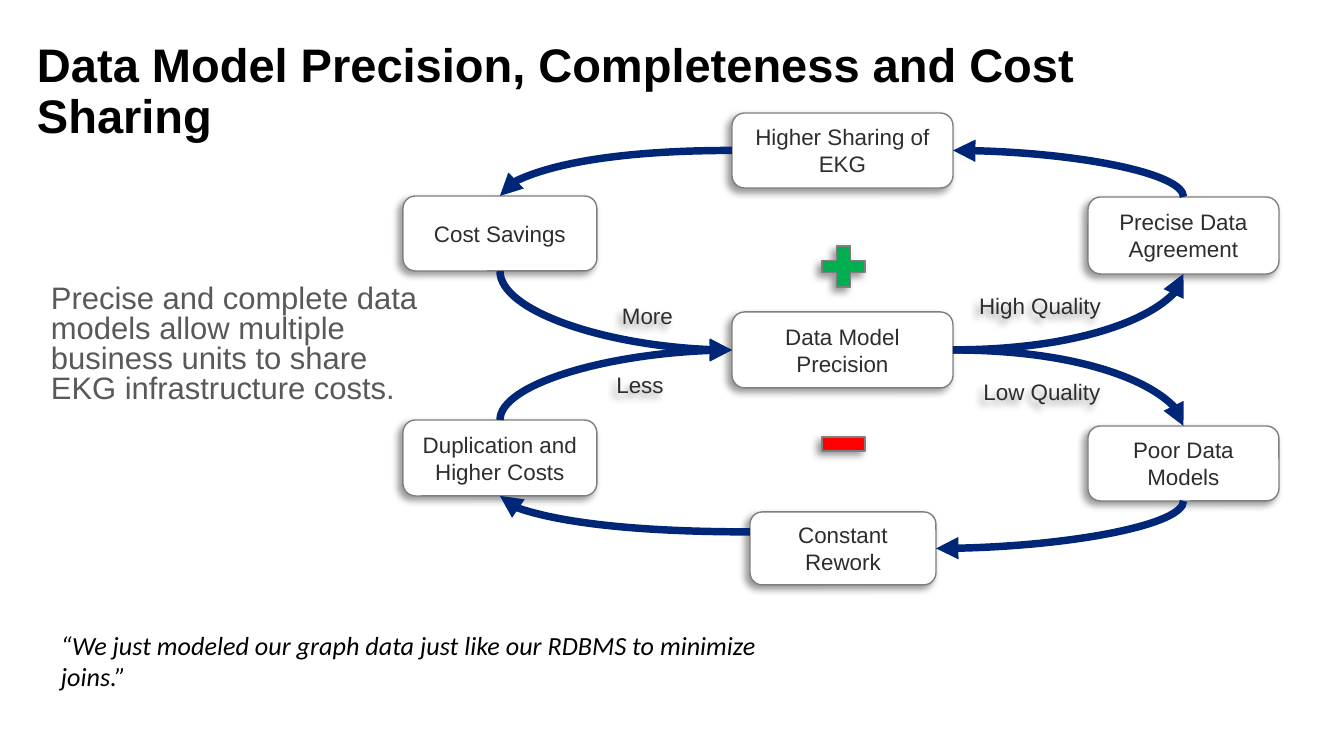
import pptx
import pptx.util
import pptx.dml.color
import pptx.enum.shapes
import pptx.enum.text
import pptx.oxml
import pptx.oxml.ns

RGB = pptx.dml.color.RGBColor
KIND = pptx.enum.shapes.MSO_SHAPE
ALIGN = pptx.enum.text.PP_ALIGN
ANCHOR = pptx.enum.text.MSO_ANCHOR

BLACK = RGB(0x00, 0x00, 0x00)
WHITE = RGB(0xFF, 0xFF, 0xFF)
INK = RGB(0x2D, 0x2D, 0x2D)
GRAY = RGB(0x59, 0x59, 0x59)
EDGE = RGB(0x7F, 0x7F, 0x7F)
NAVY = RGB(0x00, 0x26, 0x77)
GREEN = RGB(0x00, 0xB0, 0x50)
RED = RGB(0xFF, 0x00, 0x00)

SHADE = (
    '<a:effectLst %s><a:outerShdw blurRad="50800" dist="38100" dir="8100000" '
    'algn="tr" rotWithShape="0"><a:srgbClr val="000000"><a:alpha val="40000"/>'
    '</a:srgbClr></a:outerShdw></a:effectLst>' % pptx.oxml.ns.nsdecls("a")
)
PLAIN = "<a:effectLst %s/>" % pptx.oxml.ns.nsdecls("a")
ARROW = '<a:tailEnd %s type="triangle"/>' % pptx.oxml.ns.nsdecls("a")


def emu(px):
    return round(px * 914400 / 134.4)


class Deck:
    font = "Arial"
    size = 12
    pad = (10, 5)

    def __init__(self, wide, high):
        self.file = pptx.Presentation()
        self.file.slide_width = emu(wide)
        self.file.slide_height = emu(high)
        self.slide = self.file.slides.add_slide(self.file.slide_layouts[6])

    def add_xml(self, item, text):
        item.element.spPr.append(pptx.oxml.parse_xml(text))

    def fill_text(self, item, text, color, size=None, font=None, align=None, pad=None,
                  wrap=True, space=None, bold=False, italic=False):
        frame = item.text_frame
        frame.text = text
        frame.word_wrap = wrap
        side, edge = self.pad if pad is None else pad
        frame.margin_left = frame.margin_right = emu(side)
        frame.margin_top = frame.margin_bottom = emu(edge)
        frame.vertical_anchor = ANCHOR.MIDDLE if align else ANCHOR.TOP
        for para in frame.paragraphs:
            para.alignment = align
            para.line_spacing = space
            for run in para.runs:
                run.font.name = font or self.font
                run.font.size = pptx.util.Pt(size or self.size)
                run.font.color.rgb = color
                run.font.bold = bold
                run.font.italic = italic

    def text(self, rect, text, color, **style):
        item = self.slide.shapes.add_textbox(*map(emu, rect))
        self.fill_text(item, text, color, **style)
        return item

    def label(self, rect, text):
        item = self.text(rect, text, INK, align=ALIGN.CENTER, wrap=False)
        self.add_xml(item, SHADE)

    def shape(self, kind, rect, fill):
        item = self.slide.shapes.add_shape(kind, *map(emu, rect))
        item.fill.solid()
        item.fill.fore_color.rgb = fill
        item.line.color.rgb = EDGE
        item.line.width = pptx.util.Pt(0.75)
        self.add_xml(item, SHADE)
        return item

    def box(self, rect, text):
        item = self.shape(KIND.ROUNDED_RECTANGLE, rect, WHITE)
        self.fill_text(item, text, INK, align=ALIGN.CENTER)

    def curve(self, start, end, upright):
        (left, top), (right, base) = start, end
        turn = 0
        if upright:
            across, down = right - left, base - top
            turn = 90 if down > 0 else 270
            half = abs(down) / 2
            rise = (across if down < 0 else -across) / 2
            mid, level = (left + right) / 2, (top + base) / 2
            left, right = mid - half, mid + half
            top, base = level - rise, level + rise
        line = self.slide.shapes.add_connector(
            pptx.enum.shapes.MSO_CONNECTOR.CURVE, *map(emu, (left, top, right, base)))
        form = line.element.spPr
        form.find(pptx.oxml.ns.qn("a:prstGeom")).set("prst", "curvedConnector2")
        if turn:
            form.find(pptx.oxml.ns.qn("a:xfrm")).set("rot", str(turn * 60000))
        line.line.color.rgb = NAVY
        line.line.width = pptx.util.Pt(4)
        form.find(pptx.oxml.ns.qn("a:ln")).append(pptx.oxml.parse_xml(ARROW))
        self.add_xml(line, PLAIN)


def site(rect, side):
    x, y, w, h = rect
    return {"top": (x + w / 2, y), "left": (x, y + h / 2),
            "base": (x + w / 2, y + h), "right": (x + w, y + h / 2)}[side]


def main():
    deck = Deck(1344, 756)
    deck.text((37, 42, 1158, 56), "Data Model Precision, Completeness and Cost Sharing",
              BLACK, size=25.2, bold=True, space=0.9, pad=(0, 0))
    deck.text((51, 286, 387, 132),
              "Precise and complete data models allow multiple business units "
              "to share EKG infrastructure costs.",
              GRAY, size=16.6, space=0.8, pad=(0, 0))
    deck.text((51, 624, 765, 74),
              "“We just modeled our graph data just like our RDBMS to minimize joins.”",
              BLACK, size=14, font="Calibri", italic=True)

    saving = (403, 196, 194, 75)
    double = (403, 420, 194, 76)
    share = (732, 113, 221, 75)
    model = (732, 312, 221, 76)
    rework = (750, 512, 186, 73)
    agree = (1088, 197, 191, 77)
    poor = (1088, 426, 191, 75)
    for rect, text in (
        (rework, "Constant\nRework"),
        (agree, "Precise Data Agreement"),
        (share, "Higher Sharing of EKG"),
        (poor, "Poor Data Models"),
        (saving, "Cost Savings"),
        (double, "Duplication and Higher Costs"),
        (model, "Data Model Precision"),
    ):
        deck.box(rect, text)

    plus = deck.shape(KIND.CROSS, (822, 246, 43, 41), GREEN)
    plus.adjustments[0] = 0.35
    deck.shape(KIND.RECTANGLE, (822, 437, 43, 14), RED)

    for rect, text in (
        ((611, 297, 73, 38), "More"),
        ((606, 366, 68, 38), "Less"),
        ((968, 287, 144, 38), "High Quality"),
        ((973, 373, 138, 38), "Low Quality"),
    ):
        deck.label(rect, text)

    for start, end, upright in (
        (site(share, "left"), site(saving, "top"), False),
        (site(agree, "top"), site(share, "right"), True),
        (site(model, "right"), site(agree, "base"), False),
        (site(saving, "base"), site(model, "left"), True),
        (site(double, "top"), site(model, "left"), True),
        (site(model, "right"), site(poor, "top"), False),
        ((750, 532), site(double, "base"), False),
        (site(poor, "base"), site(rework, "right"), True),
    ):
        deck.curve(start, end, upright)

    deck.file.save("out.pptx")


if __name__ == "__main__":
    main()
